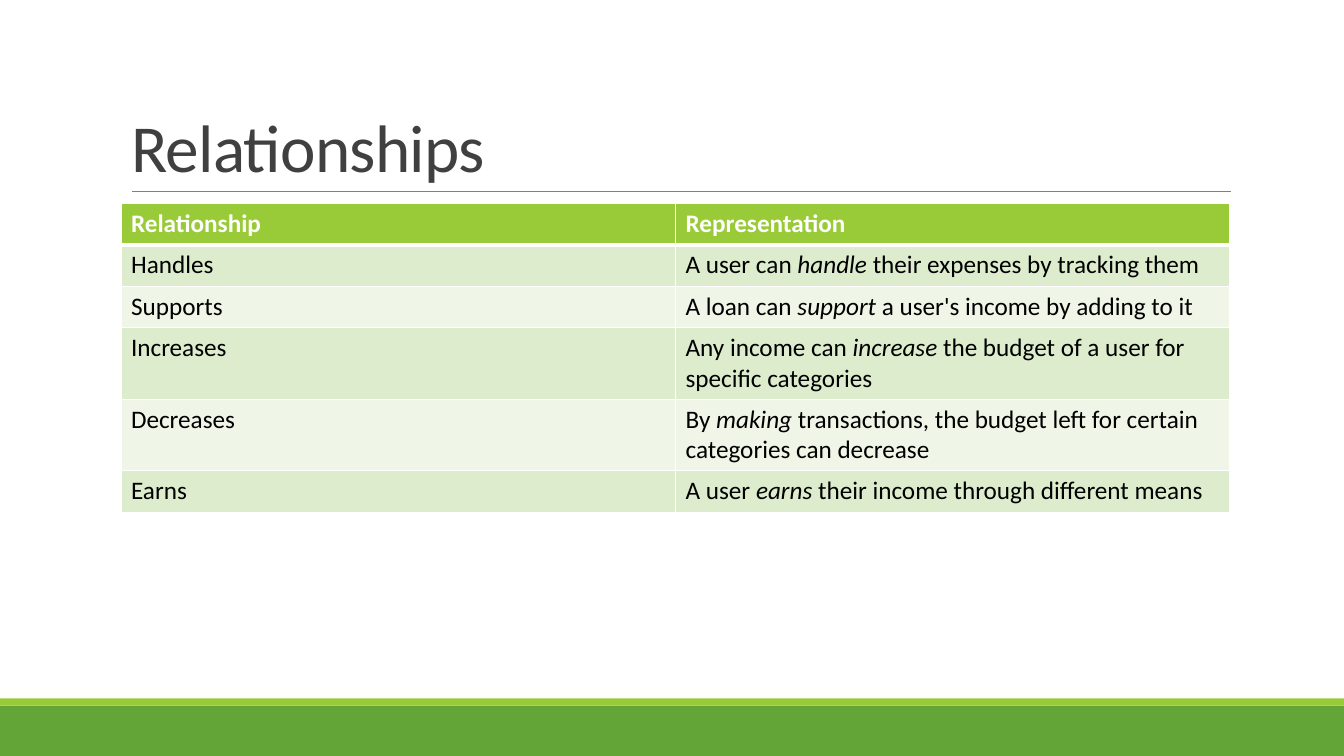
from lxml import etree
from pptx import Presentation
from pptx.dml.color import RGBColor
from pptx.enum.shapes import MSO_CONNECTOR, MSO_SHAPE
from pptx.enum.text import MSO_ANCHOR, MSO_AUTO_SIZE, PP_ALIGN
from pptx.oxml.ns import qn
from pptx.util import Inches, Pt

LINE = MSO_CONNECTOR.STRAIGHT
RECT = MSO_SHAPE.RECTANGLE
BOTTOM = MSO_ANCHOR.BOTTOM
NO_FIT = MSO_AUTO_SIZE.NONE
LEFT = PP_ALIGN.LEFT
TITLE_ONLY = 5

DARK_GREEN, GREEN = "63A537", "99CB38"
BANDS = ("DEECCE", "EFF6E8")
WHITE, BLACK, GREY, CHARCOAL = "FFFFFF", "000000", "808080", "404040"

HEADER = ("Relationship", "Representation")
RELATIONSHIPS = [
    ("Handles", "A user can ", "handle ", "their expenses by tracking them"),
    ("Supports", "A loan can ", "support ", "a user's income by adding to it"),
    ("Increases", "Any income can ", "increase ",
     "the budget of a user for specific categories"),
    ("Decreases", "By ", "making ",
     "transactions, the budget left for certain categories can decrease"),
    ("Earns", "A user ", "earns ", "their income through different means"),
]


def rgb(color):
    return RGBColor.from_string(color)


class Deck:
    """Hold the slide style and draw each kind of element on the current slide."""

    font = "Calibri"

    def __init__(self, width, height):
        self.prs = Presentation()
        self.prs.slide_width, self.prs.slide_height = Inches(width), Inches(height)
        self.s = self.prs.slides.add_slide(self.prs.slide_layouts[TITLE_ONLY])

    def run(self, p, text, size=18, color=BLACK, bold=False, italic=False):
        r = p.add_run()
        r.text = text
        r.font.name, r.font.size = self.font, Pt(size)
        r.font.bold, r.font.italic = bold, italic
        r.font.color.rgb = rgb(color)
        return r

    def title(self, text, x, y, w, h):
        sp = self.s.shapes.title
        sp.left, sp.top, sp.width, sp.height = map(Inches, (x, y, w, h))
        tf = sp.text_frame
        tf.auto_size, tf.vertical_anchor, tf.word_wrap = NO_FIT, BOTTOM, True
        p = tf.paragraphs[0]
        p.alignment, p.line_spacing = LEFT, 0.85
        r = self.run(p, text, size=48, color=CHARCOAL)
        r.font._element.set("spc", "-50")

    def bar(self, x, y, w, h, color):
        sp = self.s.shapes.add_shape(RECT, *map(Inches, (x, y, w, h)))
        sp.shadow.inherit = False
        sp.fill.solid()
        sp.fill.fore_color.rgb = rgb(color)
        sp.line.fill.background()

    def rule(self, x1, y1, x2, y2, color, width):
        sp = self.s.shapes.add_connector(LINE, *map(Inches, (x1, y1, x2, y2)))
        sp.line.color.rgb, sp.line.width = rgb(color), Pt(width)
        etree.SubElement(sp._element.spPr, qn("a:effectLst"))

    def cell(self, cell, runs, fill, top=1, bottom=1, **fmt):
        tcPr = cell._tc.get_or_add_tcPr()
        for side, width in zip("LRTB", (1, 1, top, bottom)):
            ln = etree.SubElement(tcPr, qn(f"a:ln{side}"), w=str(Pt(width)))
            solid = etree.SubElement(ln, qn("a:solidFill"))
            etree.SubElement(solid, qn("a:srgbClr"), val=WHITE)
        cell.fill.solid()
        cell.fill.fore_color.rgb = rgb(fill)
        p = cell.text_frame.paragraphs[0]
        for i, text in enumerate(runs):
            self.run(p, text, italic=i == 1, **fmt)

    def table(self, header, rows, x, y, w, row_height):
        count = len(rows) + 1
        shape = self.s.shapes.add_table(
            count, len(header), *map(Inches, (x, y, w, count * row_height)))
        tbl = shape.table
        for c, text in enumerate(header):
            self.cell(tbl.cell(0, c), [text], GREEN, bottom=3, color=WHITE, bold=True)
        for r, (name, *sentence) in enumerate(rows, 1):
            for c, runs in enumerate(([name], sentence)):
                self.cell(tbl.cell(r, c), runs, BANDS[(r - 1) % 2],
                          top=3 if r == 1 else 1)


def main():
    deck = Deck(13.33, 7.5)
    deck.bar(0, 7, 13.33, 0.5, DARK_GREEN)
    deck.bar(0, 6.93, 13.33, 0.07, GREEN)
    deck.rule(1.31, 1.9, 12.21, 1.9, GREY, 0.5)
    deck.title("Relationships", 1.2, 0.31, 11, 1.59)
    deck.table(HEADER, RELATIONSHIPS, 1.2, 2.02, 11, 0.41)
    deck.prs.save("out.pptx")


if __name__ == "__main__":
    main()
